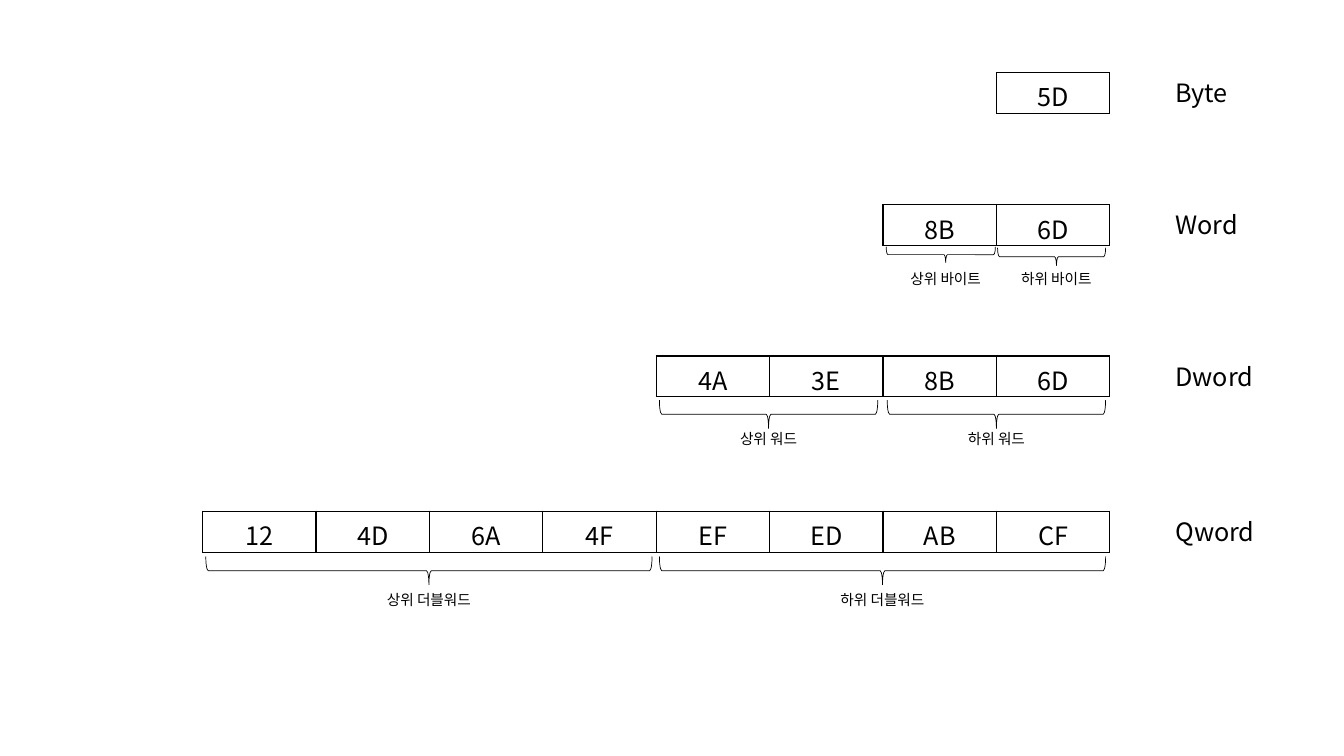
from lxml import etree
from pptx import Presentation
from pptx.dml.color import RGBColor
from pptx.enum.shapes import MSO_SHAPE
from pptx.enum.text import MSO_AUTO_SIZE, PP_ALIGN
from pptx.oxml.ns import qn
from pptx.util import Pt

LEFT_BRACE, RIGHT_BRACE = MSO_SHAPE.LEFT_BRACE, MSO_SHAPE.RIGHT_BRACE
LEFT, CENTER = PP_ALIGN.LEFT, PP_ALIGN.CENTER
FIT_SHAPE = MSO_AUTO_SIZE.SHAPE_TO_FIT_TEXT

FONT = "Noto Sans CJK KR"
BLACK = "000000"
EMU_PER_PX = 9525
CELL_W, CELL_H = 108, 39
CELLS_RIGHT = 1057
NAME_LEFT = 1110

# name, name width, top, bytes from high to low
UNITS = [
    ("Byte", 85, 69, ["5D"]),
    ("Word", 85, 195, ["8B", "6D"]),
    ("Dword", 130, 339, ["4A", "3E", "8B", "6D"]),
    ("Qword", 130, 487, ["12", "4D", "6A", "4F", "EF", "ED", "AB", "CF"]),
]

# text, text width, text top, wrap, brace box (left, top, width, depth)
WORD_HALVES = [
    ("상위 바이트", 97, 252, False, (844, 235, 104, 15)),
    ("하위 바이트", 97, 252, False, (950, 236, 103, 17)),
]
LARGER_HALVES = [
    ("상위 워드", 81, 405, False, (628, 381, 208, 27)),
    ("하위 워드", 81, 405, False, (845, 381, 208, 27)),
    ("상위 더블워드", 162, 558, True, (196, 530, 425, 27)),
    ("하위 더블워드", 162, 558, True, (628, 530, 425, 27)),
]


def px(n):
    return round(n * EMU_PER_PX)


def rgb(color):
    return RGBColor.from_string(color)


def write(tf, text, size=18, align=LEFT, color=BLACK):
    p = tf.paragraphs[0]
    p.alignment = align
    r = p.add_run()
    r.text = text
    r.font.size = Pt(size)
    r.font.name = FONT
    r.font.color.rgb = rgb(color)
    ea = etree.SubElement(r.font._element, qn("a:ea"))
    ea.set("typeface", FONT)


def add_text(s, text, left, top, width, height, wrap=True, **fmt):
    tf = s.shapes.add_textbox(px(left), px(top), px(width), px(height)).text_frame
    tf.word_wrap = wrap
    tf.auto_size = FIT_SHAPE
    write(tf, text, **fmt)


def set_borders(cell, color=BLACK, width=1):
    tcPr = cell._tc.get_or_add_tcPr()
    for i, side in enumerate(("lnL", "lnR", "lnT", "lnB")):
        ln = etree.Element(qn(f"a:{side}"), w=str(Pt(width)))
        fill = etree.SubElement(ln, qn("a:solidFill"))
        etree.SubElement(fill, qn("a:srgbClr"), val=color)
        tcPr.insert(i, ln)


def add_byte(s, value, left, top, bottom_margin):
    table = s.shapes.add_table(1, 1, px(left), px(top), px(CELL_W), px(CELL_H)).table
    table.first_row = False
    table.horz_banding = False
    cell = table.cell(0, 0)
    cell.margin_bottom = px(bottom_margin)
    cell.fill.background()
    set_borders(cell)
    write(cell.text_frame, value, align=CENTER)


def add_unit(s, name, name_width, top, values):
    add_text(s, name, NAME_LEFT, top, name_width, CELL_H)
    left = CELLS_RIGHT - CELL_W * len(values)
    bottom_margin = 5 if len(values) == 1 else 0
    for i, value in enumerate(values):
        add_byte(s, value, left + i * CELL_W, top, bottom_margin)


def add_brace(s, kind, rotation, left, top, width, depth):
    """Add a brace whose tip points down, given the box it fills once turned."""
    x, y = left + (width - depth) / 2, top + (depth - width) / 2
    sp = s.shapes.add_shape(kind, px(x), px(y), px(depth), px(width))
    sp.rotation = rotation
    sp.shadow.inherit = False
    sp.fill.background()
    sp.line.color.rgb = rgb(BLACK)
    sp.line.width = Pt(0.5)
    return sp


def add_half(s, text, text_width, text_top, wrap, box, kind=LEFT_BRACE, rotation=270, tip=0.5):
    """Add a brace and, centred under its tip, the label of that half."""
    sp = add_brace(s, kind, rotation, *box)
    if kind == RIGHT_BRACE:
        sp.adjustments[0] = 0.11
        sp.adjustments[1] = 1 - tip
    left, _, width, _ = box
    add_text(s, text, left + tip * width - text_width / 2, text_top, text_width, 27,
             wrap=wrap, size=10.5, align=CENTER)


def main():
    prs = Presentation()
    prs.slide_width, prs.slide_height = px(1280), px(720)
    s = prs.slides.add_slide(prs.slide_layouts[6])
    for unit in UNITS:
        add_unit(s, *unit)
    for half in WORD_HALVES:
        add_half(s, *half, kind=RIGHT_BRACE, rotation=90, tip=0.545)
    for half in LARGER_HALVES:
        add_half(s, *half)
    prs.save("out.pptx")


if __name__ == "__main__":
    main()
